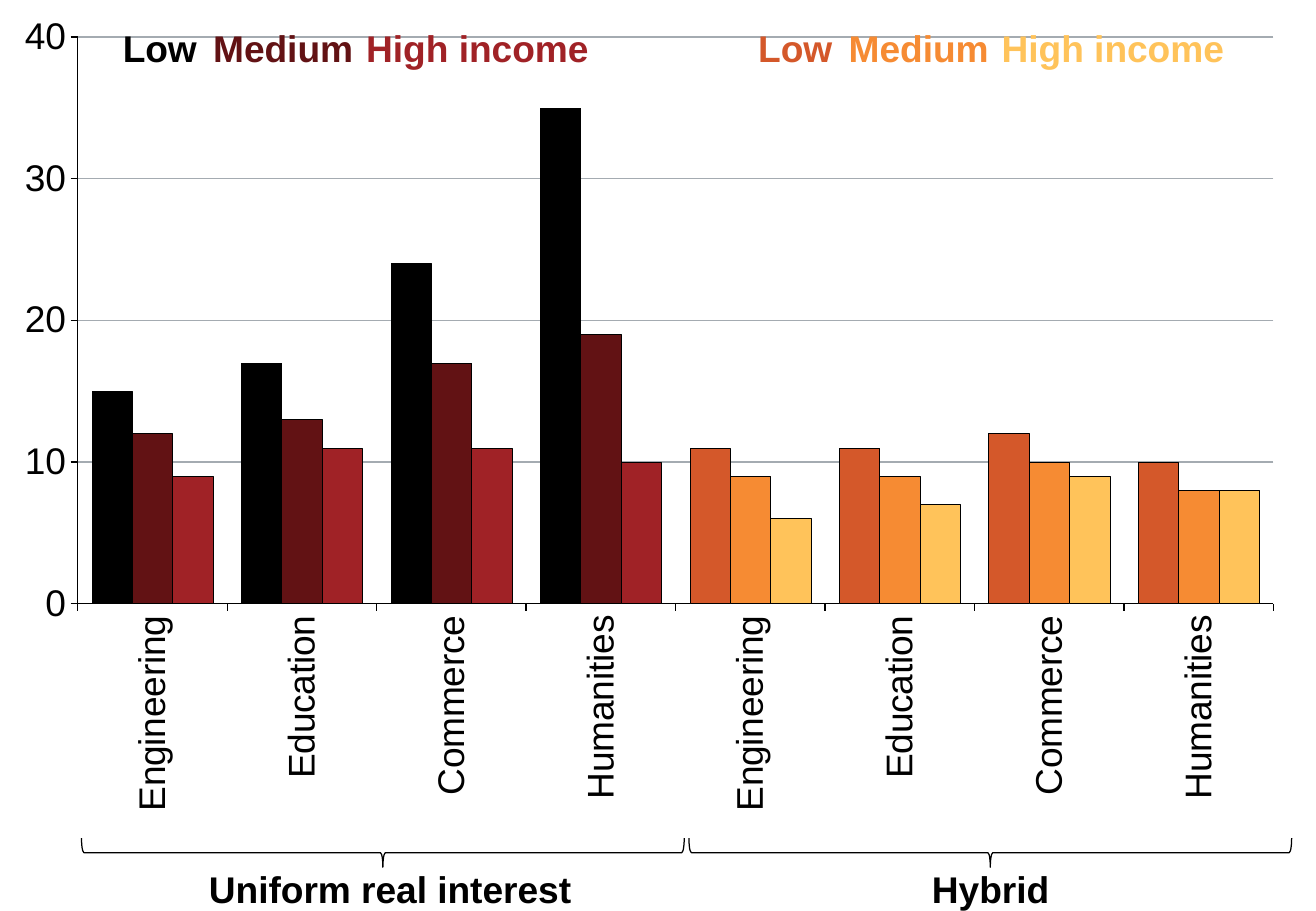
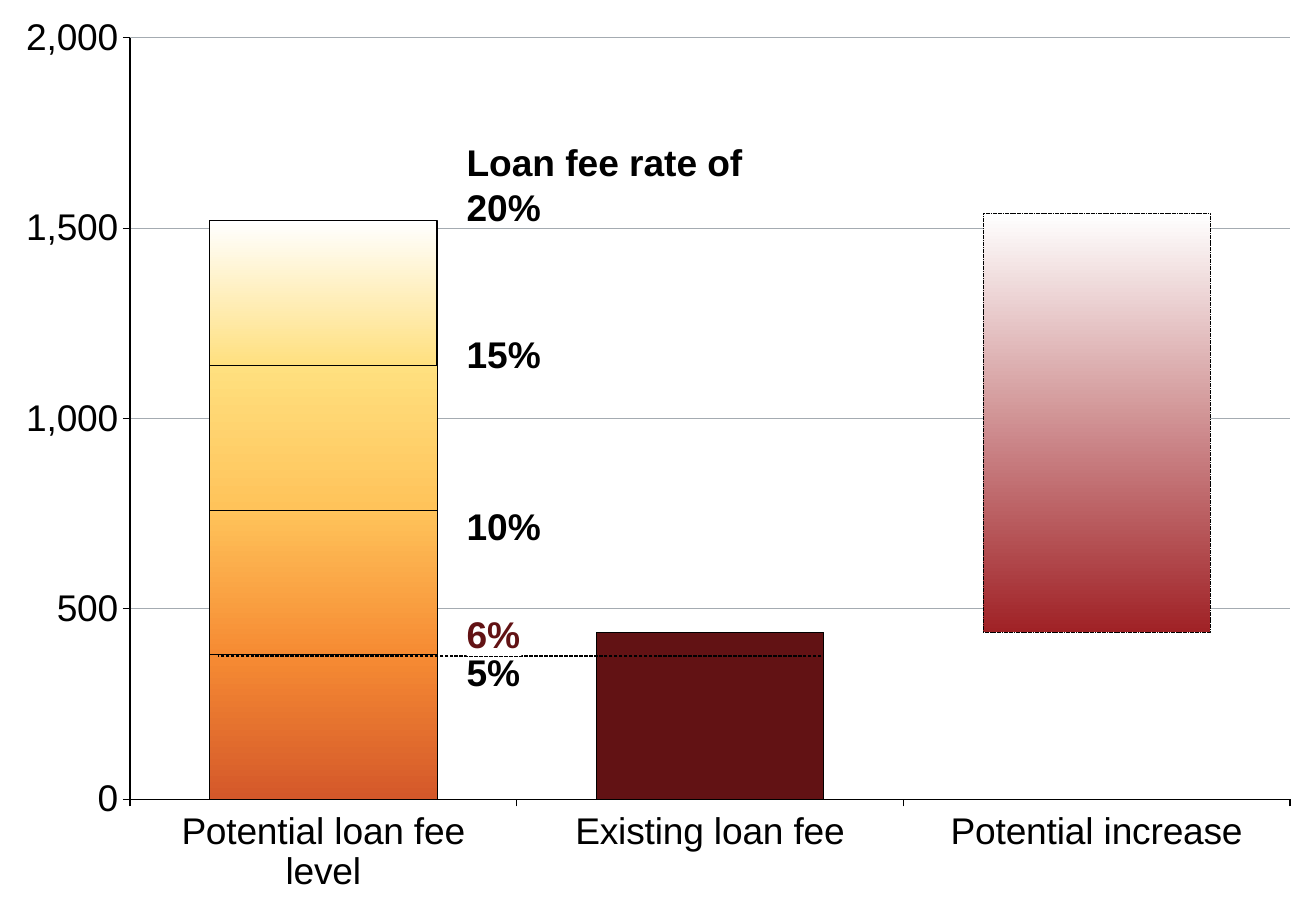
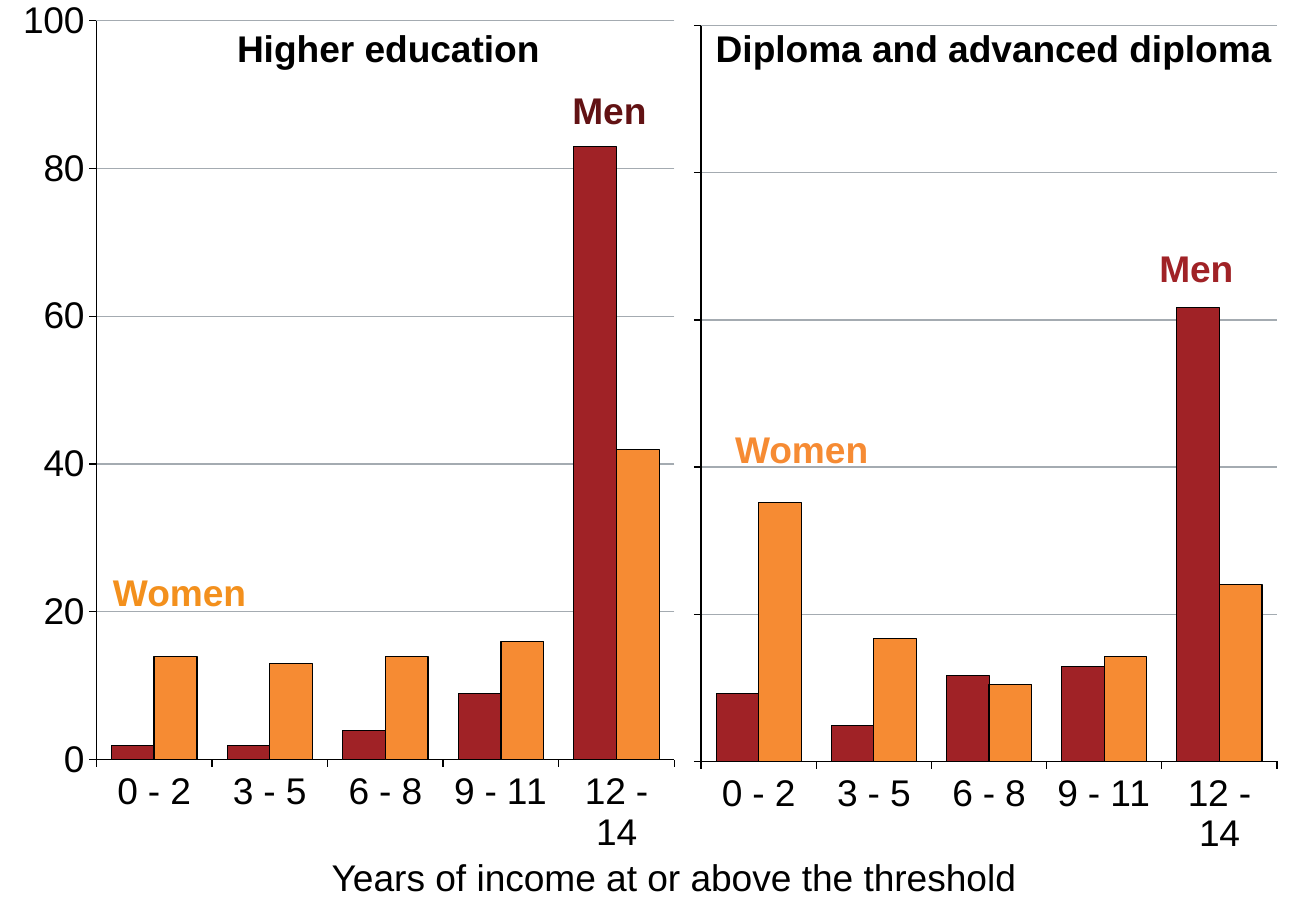
import dataclasses

import pptx
import pptx.chart.data
import pptx.dml.color
import pptx.enum.chart
import pptx.enum.dml
import pptx.enum.shapes
import pptx.enum.text
import pptx.oxml
import pptx.oxml.ns
import pptx.util


@dataclasses.dataclass(frozen=True)
class Theme:
    font: str = "Arial"
    chart_size: int = 18
    label_size: int = 22
    thin: float = 0.25
    line: float = 0.75
    black: str = "000000"
    white: str = "FFFFFF"
    grid: str = "A4ABB1"
    maroon: str = "621214"
    red: str = "A02226"
    rust: str = "D4582A"
    orange: str = "F68B33"
    amber: str = "FFC35A"
    yellow: str = "FFE07F"
    women: str = "F3901D"


T = Theme()
rgb = pptx.dml.color.RGBColor.from_string
Pt = pptx.util.Pt
SHAPE = pptx.enum.shapes.MSO_SHAPE
TYPE = pptx.enum.chart.XL_CHART_TYPE

prs = pptx.Presentation()
prs.slide_width = pptx.util.Inches(10.83)
prs.slide_height = pptx.util.Inches(7.5)
# All positions are percentages of the slide's width and height.
X, Y = prs.slide_width / 100, prs.slide_height / 100
ROW = 4.93  # height of one line of label text


def text(s, words, x, y, w, color=T.black, bold=True, fill=None):
    lines = words.split("\n")
    box = [round(v) for v in (x * X, y * Y, w * X, ROW * len(lines) * Y)]
    if fill:
        sp = s.shapes.add_shape(SHAPE.RECTANGLE, *box)
        sp.shadow.inherit = False
        sp.fill.solid()
        sp.fill.fore_color.rgb = rgb(fill)
        sp.line.fill.background()
    else:
        sp = s.shapes.add_textbox(*box)
    tf = sp.text_frame
    tf.margin_left = tf.margin_top = tf.margin_right = tf.margin_bottom = 0
    tf.word_wrap = False
    tf.auto_size = pptx.enum.text.MSO_AUTO_SIZE.SHAPE_TO_FIT_TEXT
    for i, line in enumerate(lines):
        p = tf.add_paragraph() if i else tf.paragraphs[0]
        p.alignment = pptx.enum.text.PP_ALIGN.LEFT
        r = p.add_run()
        r.text = line
        r.font.name, r.font.size, r.font.bold = T.font, Pt(T.label_size), bold
        r.font.color.rgb = rgb(color)


def column_chart(s, kind, at, plot, cats, series, top, step, fmt="General"):
    """Draw columns; plot is left, top, right, bottom of the inner plot area.

    Each series is values, fill, line width, {point: fill}. A fill is a colour,
    a pair of colours blended upwards, or None.
    """
    data = pptx.chart.data.CategoryChartData()
    data.categories = cats
    for i, (values, *_) in enumerate(series, 1):
        data.add_series(f"Series {i}", values)
    box = [round(v * u) for v, u in zip(at, (X, Y, X, Y))]
    ch = s.shapes.add_chart(kind, *box, data).chart
    ch.has_legend = ch.has_title = False
    ch.font.name, ch.font.size = T.font, Pt(T.chart_size)
    ch.font.color.rgb = rgb(T.black)
    ch.plots[0].gap_width = 70
    ch.plots[0].vary_by_categories = False

    for ser, (_, fill, width, points) in zip(ch.plots[0].series, series):
        ser.invert_if_negative = False
        targets = [(ser.format, fill)]
        targets += [(ser.points[i].format, f) for i, f in points.items()]
        for target, paint in targets:
            if paint is None:
                target.fill.background()
                target.line.fill.background()
                continue
            if isinstance(paint, tuple):
                target.fill.gradient()
                target.fill.gradient_angle = 90
                for stop, color in zip(target.fill.gradient_stops, paint):
                    stop.color.rgb = rgb(color)
            else:
                target.fill.solid()
                target.fill.fore_color.rgb = rgb(paint)
            target.line.width = Pt(width)
            target.line.color.rgb = rgb(T.black)

    for axis in (ch.category_axis, ch.value_axis):
        axis.tick_labels.font.size = Pt(T.label_size)
        axis.format.line.width = Pt(T.line)
        axis.format.line.color.rgb = rgb(T.black)
        axis.major_tick_mark = pptx.enum.chart.XL_TICK_MARK.OUTSIDE
        axis.minor_tick_mark = pptx.enum.chart.XL_TICK_MARK.NONE
    val = ch.value_axis
    val.minimum_scale, val.maximum_scale, val.major_unit = 0, top, step
    val.tick_labels.number_format = fmt
    val.tick_labels.number_format_is_linked = False
    val.has_major_gridlines = True
    val.major_gridlines.format.line.width = Pt(T.line)
    val.major_gridlines.format.line.color.rgb = rgb(T.grid)

    left, upper, right, lower = plot
    area = ch._chartSpace.xpath("c:chart/c:plotArea")[0]
    for old in area.xpath("c:layout"):
        area.remove(old)
    sizes = {"x": (left - at[0]) / at[2], "y": (upper - at[1]) / at[3],
             "w": (right - left) / at[2], "h": (lower - upper) / at[3]}
    area.insert(0, pptx.oxml.parse_xml(
        f'<c:layout {pptx.oxml.ns.nsdecls("c")}><c:manualLayout>'
        '<c:layoutTarget val="inner"/><c:xMode val="edge"/><c:yMode val="edge"/>'
        + "".join(f'<c:{k} val="{v:.4f}"/>' for k, v in sizes.items())
        + "</c:manualLayout></c:layout>"))
    return ch


slides = [prs.slides.add_slide(prs.slide_layouts[6]) for _ in range(3)]
for s in slides:
    s.background.fill.solid()
    s.background.fill.fore_color.rgb = rgb(T.white)

# Repayment years by field of study and income
s = slides[0]
uniform = (T.black, T.maroon, T.red)
hybrid = (T.rust, T.orange, T.amber)
years = ([15, 17, 24, 35, 11, 11, 12, 10],
         [12, 13, 17, 19, 9, 9, 10, 8],
         [9, 11, 11, 10, 6, 7, 9, 8])
fields = ["Engineering", "Education", "Commerce", "Humanities"]
ch = column_chart(
    s, TYPE.COLUMN_CLUSTERED, (0, 0, 98.7, 90.93), (5.9, 4.07, 96.77, 66.27), fields * 2,
    [(v, h, T.thin, dict.fromkeys(range(len(fields)), u))
     for v, u, h in zip(years, uniform, hybrid)],
    top=40, step=10)
for body in ch._chartSpace.xpath(".//c:catAx/c:txPr/a:bodyPr"):
    body.set("rot", "-5400000")
    body.set("vert", "horz")

income = (("Low", 0, 6), ("Medium", 6.87, 10.8), ("High income", 18.5, 17.08))
for start, colors in ((9.33, uniform), (57.62, hybrid)):
    for (name, dx, w), color in zip(income, colors):
        text(s, name, start + dx, 2.8, w, color=color)

brace_w, brace_len = 3.2 * Y, 45.8 * X
for middle, name, x, w in ((29.09, "Uniform real interest", 15.88, 27.89),
                           (75.25, "Hybrid", 70.82, 9.05)):
    sp = s.shapes.add_shape(
        SHAPE.RIGHT_BRACE, round(middle * X - brace_w / 2),
        round(93.6 * Y - brace_len / 2), round(brace_w), round(brace_len))
    sp.rotation = 90
    sp.shadow.inherit = False
    sp.fill.background()
    sp.line.width = Pt(T.line)
    sp.line.color.rgb = rgb(T.black)
    text(s, name, x, 95.07, w)

# Loan fee levels
s = slides[1]
dash = pptx.enum.dml.MSO_LINE.SQUARE_DOT
ch = column_chart(
    s, TYPE.COLUMN_STACKED, (0, 0, 100, 100), (9.88, 4.17, 98.03, 87.75),
    ["Potential loan fee level", "Existing loan fee", "Potential increase"],
    [([380, 440, 440], T.red, T.thin,
      {0: (T.rust, T.orange), 1: T.maroon, 2: None}),
     ([380, None, 1100], T.orange, T.thin,
      {0: (T.orange, T.amber), 2: (T.red, T.white)}),
     ([380, None, None], (T.amber, T.yellow), T.thin, {}),
     ([380, None, None], (T.yellow, T.white), T.line, {})],
    top=2000, step=500, fmt="#,##0")
ch.plots[0].overlap = 100
ch.plots[0].series[1].points[2].format.line.dash_style = dash

rate_x = 35.46
for words, y, w in (("5%", 71.33, 4.16), ("10%", 55.2, 5.72), ("15%", 36.4, 5.72),
                    ("Loan fee rate of\n20%", 15.33, 21.24)):
    text(s, words, rate_x, y, w)
cx = s.shapes.add_connector(
    pptx.enum.shapes.MSO_CONNECTOR.STRAIGHT,
    *(round(v) for v in (62.42 * X, 72 * Y, 16.53 * X, 72 * Y)))
cx.line.width = Pt(T.line)
cx.line.color.rgb = rgb(T.black)
cx.line.dash_style = dash
cx._element.spPr.append(
    pptx.oxml.parse_xml(f'<a:effectLst {pptx.oxml.ns.nsdecls("a")}/>'))
text(s, "6%", rate_x, 67.07, 4.16, color=T.maroon, fill=T.white)

# Years above the threshold, men and women
s = slides[2]
spans = ["0 - 2", "3 - 5", "6 - 8", "9 - 11", "12 - 14"]
panels = (
    ((-0.74, 0, 53.65, 93.73), (7.32, 2.27, 51.25, 83.4),
     [2, 2, 4, 9, 83], [14, 13, 14, 16, 42], 100, 20),
    ((51.62, 0.4, 47.09, 93.73), (53.27, 2.83, 97.04, 83.6),
     [15, 8, 19, 21, 100], [57, 27, 17, 23, 39], 162, 32.4))
for at, plot, men, women, top, step in panels:
    ch = column_chart(s, TYPE.COLUMN_CLUSTERED, at, plot, spans,
                      [(men, T.red, T.thin, {}), (women, T.orange, T.line, {})],
                      top=top, step=step)
ch.value_axis.tick_label_position = pptx.enum.chart.XL_TICK_LABEL_POSITION.NONE

for words, x, y, w, color in (
        ("Women", 8.59, 62.53, 10.25, T.women),
        ("Men", 43.49, 9.6, 5.72, T.maroon),
        ("Women", 55.86, 46.8, 10.25, T.orange),
        ("Men", 88.09, 26.93, 5.72, T.red),
        ("Higher education", 18.01, 2.8, 23.27, T.black),
        ("Diploma and advanced diploma", 54.39, 2.8, 42.75, T.black)):
    text(s, words, x, y, w, color=color)
text(s, "Years of income at or above the threshold", 25.21, 93.73, 53.46, bold=False)

prs.save("out.pptx")
